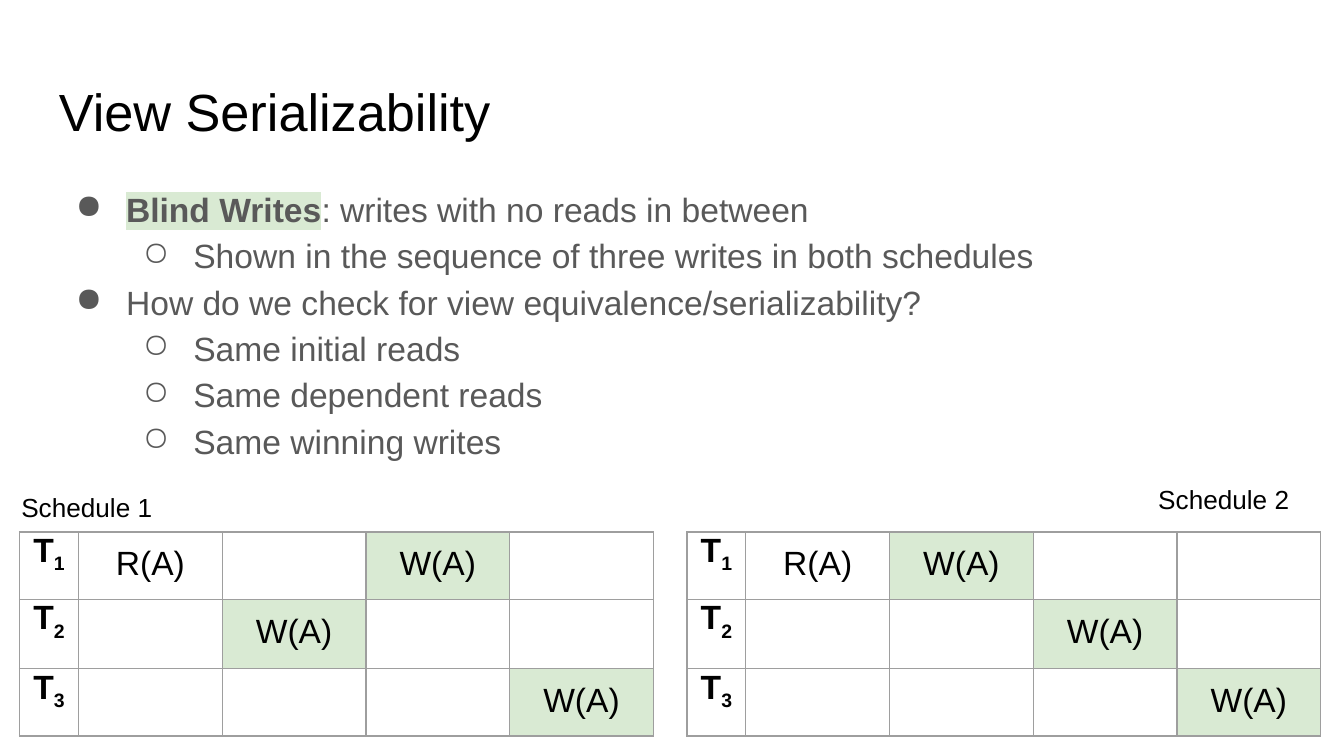
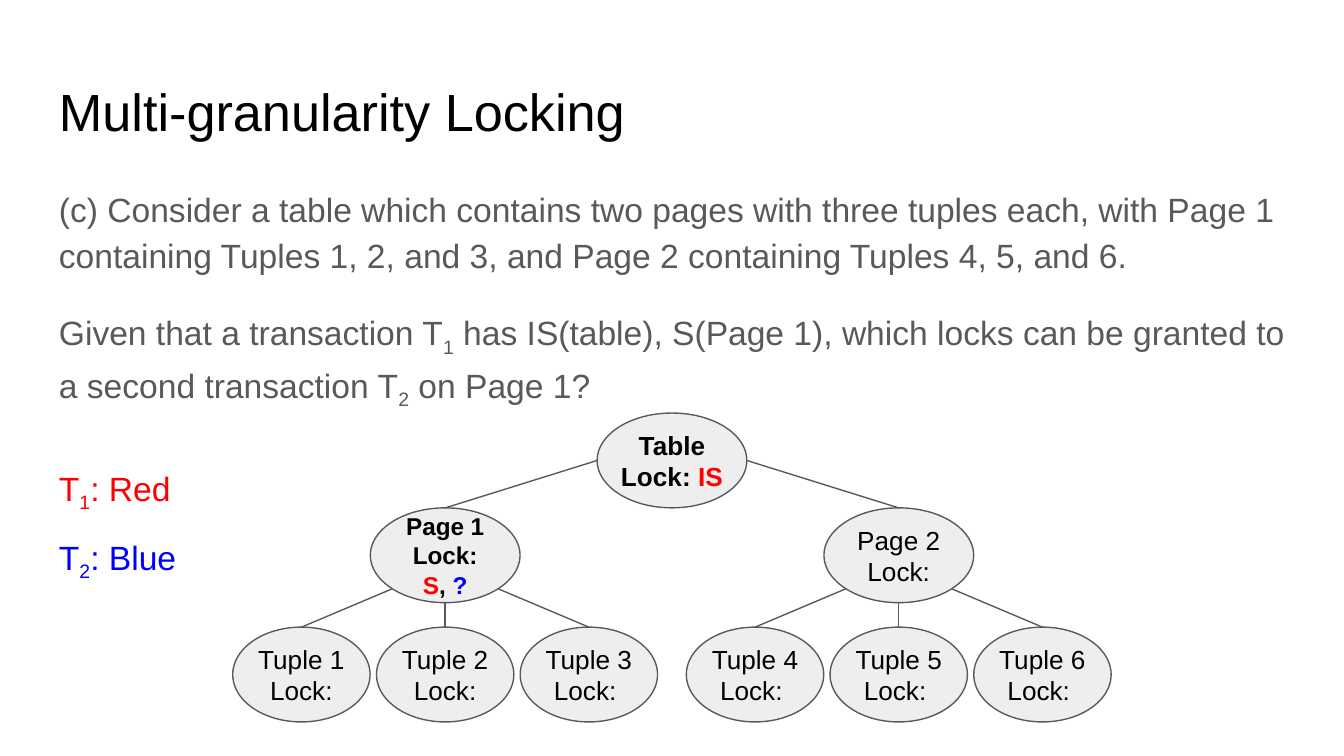
import math

import pptx
import pptx.dml.color
import pptx.enum.shapes
import pptx.enum.text
import pptx.oxml
import pptx.oxml.ns
import pptx.util

Pt = pptx.util.Pt
ALIGN = pptx.enum.text.PP_ALIGN
ANCHOR = pptx.enum.text.MSO_ANCHOR

COLORS = {
    "ink": "000000", "body": "595959", "green": "D9EAD3", "grid": "9E9E9E",
    "node": "EEEEEE", "red": "FF0000", "blue": "0000FF",
}
FONT = "Arial"
NAMESPACE = pptx.oxml.ns.nsdecls("a")

# Run styles
BOLD = {"bold": True}
SUB = {"sub": True}
BOLD_SUB = {"bold": True, "sub": True}
MARKED = {"bold": True, "mark": "green"}
RED = {"color": "red"}
BLUE = {"color": "blue"}
BOLD_RED = {"bold": True, "color": "red"}
BOLD_BLUE = {"bold": True, "color": "blue"}

# Slide 1 content: (level, runs)
VIEW_TITLE = "View Serializability"
VIEW_POINTS = [
    (0, [("Blind Writes", MARKED), (": writes with no reads in between", {})]),
    (1, [("Shown in the sequence of three writes in both schedules", {})]),
    (0, [("How do we check for view equivalence/serializability?", {})]),
    (1, [("Same initial reads", {})]),
    (1, [("Same dependent reads", {})]),
    (1, [("Same winning writes", {})]),
]
BULLETS = ["●", "○"]

# Each schedule: label, label box, table left, operations of T1 to T3 in time order
SCHEDULES = [
    ("Schedule 1", (4.3, 256.3, 94.3, 31.7), 10.5,
     [["R(A)", "", "W(A)", ""], ["", "W(A)", "", ""], ["", "", "", "W(A)"]]),
    ("Schedule 2", (613.4, 252, 94.3, 31.7), 368,
     [["R(A)", "W(A)", "", ""], ["", "", "W(A)", ""], ["", "", "", "W(A)"]]),
]
SCHEDULE_TOP = 285
SCHEDULE_COLUMNS = [31.6] + [77] * 4
SCHEDULE_ROWS = [34.5, 37.2, 34.5]

# Slide 2 content
LOCKING_TITLE = "Multi-granularity Locking"
LOCKING_QUESTION = [
    [("(c) Consider a table which contains two pages with three tuples each, "
      "with Page 1 containing Tuples 1, 2, and 3, and Page 2 containing "
      "Tuples 4, 5, and 6.", {})],
    [("Given that a transaction T", {}), ("1", SUB),
     (" has IS(table), S(Page 1), which locks can be granted to a second "
      "transaction T", {}), ("2", SUB), (" on Page 1?", {})],
]
LEGEND = [
    [("T", RED), ("1", {**RED, **SUB}), (": Red", RED)],
    [("T", BLUE), ("2", {**BLUE, **SUB}), (": Blue", BLUE)],
]
TABLE_NODE = [[("Table", BOLD)], [("Lock: ", BOLD), ("IS", BOLD_RED)]]
# Each page: lines, text size, tuples as (name, lock line)
PAGES = [
    ([[("Page 1", BOLD)],
      [("Lock: ", BOLD), ("S", BOLD_RED), (", ", BOLD), ("?", BOLD_BLUE)]], 13,
     [("Tuple 1", "Lock:"), ("Tuple 2", "Lock:"), ("Tuple 3", "Lock: ")]),
    ([[("Page 2", {})], [("Lock:", {})]], 14,
     [("Tuple 4", "Lock: "), ("Tuple 5", "Lock: "), ("Tuple 6", "Lock: ")]),
]
NODE_HEIGHT = 50.8
PARENT_WIDTH, TUPLE_WIDTH = 80.2, 73.6
TABLE_TOP, PAGE_TOP, TUPLE_TOP = 221.3, 272.1, 336
TREE_CENTER, PAGE_OFFSET, TUPLE_STEP = 360, 121.5, 77


def rgb(name):
    return pptx.dml.color.RGBColor.from_string(COLORS[name])


def apply(target, values):
    for attribute, value in values.items():
        setattr(target, attribute, value)


def write_runs(paragraph, runs, size, color="ink"):
    for text, style in runs:
        run = paragraph.add_run()
        run.text = text
        apply(run.font, {"size": Pt(size), "name": FONT, "bold": style.get("bold", False)})
        run.font.color.rgb = rgb(style.get("color", color))
        properties = run.font._element
        if style.get("sub"):
            properties.set("baseline", "-25000")
        if "mark" in style:
            highlight = pptx.oxml.parse_xml(
                f'<a:highlight {NAMESPACE}><a:srgbClr val="{COLORS[style["mark"]]}"/></a:highlight>')
            properties.find(pptx.oxml.ns.qn("a:solidFill")).addnext(highlight)


def write_lines(frame, lines, size, color="ink", formats=None):
    """Fill a text frame, one list of runs per paragraph."""
    paragraphs = []
    for index, runs in enumerate(lines):
        paragraph = frame.add_paragraph() if index else frame.paragraphs[0]
        apply(paragraph, formats or {})
        write_runs(paragraph, runs, size, color)
        paragraphs.append(paragraph)
    return paragraphs


def add_text(slide, box, lines, size, color="ink", formats=None):
    frame = slide.shapes.add_textbox(*map(Pt, box)).text_frame
    margins = dict.fromkeys(
        ["margin_left", "margin_top", "margin_right", "margin_bottom"], Pt(7.2))
    apply(frame, {"word_wrap": True, "vertical_anchor": ANCHOR.TOP, **margins})
    return write_lines(frame, lines, size, color, formats)


def add_titled_slide(deck, title):
    slide = deck.slides.add_slide(deck.slide_layouts[6])
    add_text(slide, (24.5, 35, 671, 45), [[(title, {})]], 28)
    return slide


def add_bullet(paragraph, level):
    properties = paragraph._p.get_or_add_pPr()
    apply(paragraph, {"level": level})
    properties.set("marL", str(Pt(36 * (level + 1))))
    properties.set("indent", str(-Pt(27)))
    for tag in (f'<a:buClr {NAMESPACE}><a:srgbClr val="{COLORS["body"]}"/></a:buClr>',
                f'<a:buChar {NAMESPACE} char="{BULLETS[level]}"/>'):
        properties.append(pptx.oxml.parse_xml(tag))


def style_cell(cell, top_margin, filled):
    apply(cell, {"margin_left": Pt(7.2), "margin_right": Pt(7.2),
                 "margin_top": Pt(top_margin), "margin_bottom": Pt(7.2)})
    properties = cell._tc.get_or_add_tcPr()
    for side in ("lnL", "lnR", "lnT", "lnB"):
        properties.append(pptx.oxml.parse_xml(
            f'<a:{side} {NAMESPACE} w="{Pt(0.75)}"><a:solidFill>'
            f'<a:srgbClr val="{COLORS["grid"]}"/></a:solidFill></a:{side}>'))
    if filled:
        cell.fill.solid()
        cell.fill.fore_color.rgb = rgb("green")
    else:
        cell.fill.background()


def add_schedule(slide, left, operations):
    table = slide.shapes.add_table(
        len(SCHEDULE_ROWS), len(SCHEDULE_COLUMNS), Pt(left), Pt(SCHEDULE_TOP),
        Pt(sum(SCHEDULE_COLUMNS)), Pt(sum(SCHEDULE_ROWS))).table
    apply(table, {"first_row": False, "horz_banding": False})
    for column, width in zip(table.columns, SCHEDULE_COLUMNS):
        column.width = Pt(width)
    for row, height in zip(table.rows, SCHEDULE_ROWS):
        row.height = Pt(height)
    centered = {"alignment": ALIGN.CENTER}
    for row, steps in enumerate(operations):
        transaction = table.cell(row, 0)
        style_cell(transaction, 0, False)
        write_lines(transaction.text_frame, [[("T", BOLD), (str(row + 1), BOLD_SUB)]],
                    18, formats=centered)
        for column, step in enumerate(steps, 1):
            cell = table.cell(row, column)
            style_cell(cell, 7.2, step.startswith("W"))
            if step:
                write_lines(cell.text_frame, [[(step, {})]], 18, formats=centered)


def add_node(slide, center, top, width, lines, size=14):
    node = slide.shapes.add_shape(
        pptx.enum.shapes.MSO_SHAPE.OVAL, Pt(center - width / 2), Pt(top),
        Pt(width), Pt(NODE_HEIGHT))
    node.shadow.inherit = False
    node.fill.solid()
    node.fill.fore_color.rgb = rgb("node")
    node.line.color.rgb = rgb("body")
    node.line.width = Pt(0.75)
    apply(node.text_frame, {"margin_left": 0, "margin_top": 0, "margin_right": 0,
                            "margin_bottom": 0, "word_wrap": True,
                            "vertical_anchor": ANCHOR.MIDDLE})
    write_lines(node.text_frame, lines, size, formats={"alignment": ALIGN.CENTER})


def add_branch(slide, start, end):
    branch = slide.shapes.add_connector(
        pptx.enum.shapes.MSO_CONNECTOR.STRAIGHT, *map(Pt, start + end))
    branch.line.color.rgb = rgb("body")
    branch.line.width = Pt(0.75)
    branch._element.spPr.append(pptx.oxml.parse_xml(f"<a:effectLst {NAMESPACE}/>"))


def build_view_slide(deck):
    slide = add_titled_slide(deck, VIEW_TITLE)
    points = add_text(slide, (24.5, 90.7, 676, 159), [runs for _, runs in VIEW_POINTS],
                      18, "body", {"line_spacing": 1.15})
    for paragraph, (level, _) in zip(points, VIEW_POINTS):
        add_bullet(paragraph, level)
    for label, label_box, left, operations in SCHEDULES:
        add_schedule(slide, left, operations)
        add_text(slide, label_box, [[(label, {})]], 14)


def build_locking_slide(deck):
    slide = add_titled_slide(deck, LOCKING_TITLE)
    question = add_text(slide, (24.5, 90.7, 671, 269), LOCKING_QUESTION, 18, "body",
                        {"line_spacing": 1.15})
    question[1].space_before = Pt(16)

    # Lock tree: table, pages, tuples
    add_node(slide, TREE_CENTER, TABLE_TOP, PARENT_WIDTH, TABLE_NODE)
    diagonal = math.sqrt(0.5)
    for page_side, (lines, size, tuples) in zip((-1, 1), PAGES):
        page_x = TREE_CENTER + page_side * PAGE_OFFSET
        add_node(slide, page_x, PAGE_TOP, PARENT_WIDTH, lines, size)
        add_branch(slide, (TREE_CENTER + page_side * PARENT_WIDTH / 2,
                           TABLE_TOP + NODE_HEIGHT / 2), (page_x, PAGE_TOP))
        for tuple_side, (name, lock) in zip((-1, 0, 1), tuples):
            tuple_x = page_x + tuple_side * TUPLE_STEP
            add_node(slide, tuple_x, TUPLE_TOP, TUPLE_WIDTH, [[(name, {})], [(lock, {})]])
            drop = diagonal if tuple_side else 1
            add_branch(slide, (page_x + tuple_side * diagonal * PARENT_WIDTH / 2,
                               PAGE_TOP + NODE_HEIGHT / 2 * (1 + drop)),
                       (tuple_x, TUPLE_TOP))

    # Transaction colour legend
    add_text(slide, (24.5, 231.1, 101.5, 84.2), LEGEND, 18, formats={"line_spacing": 1.5})


def main():
    deck = pptx.Presentation()
    apply(deck, {"slide_width": Pt(720), "slide_height": Pt(405)})
    build_view_slide(deck)
    build_locking_slide(deck)
    deck.save("out.pptx")


if __name__ == "__main__":
    main()
